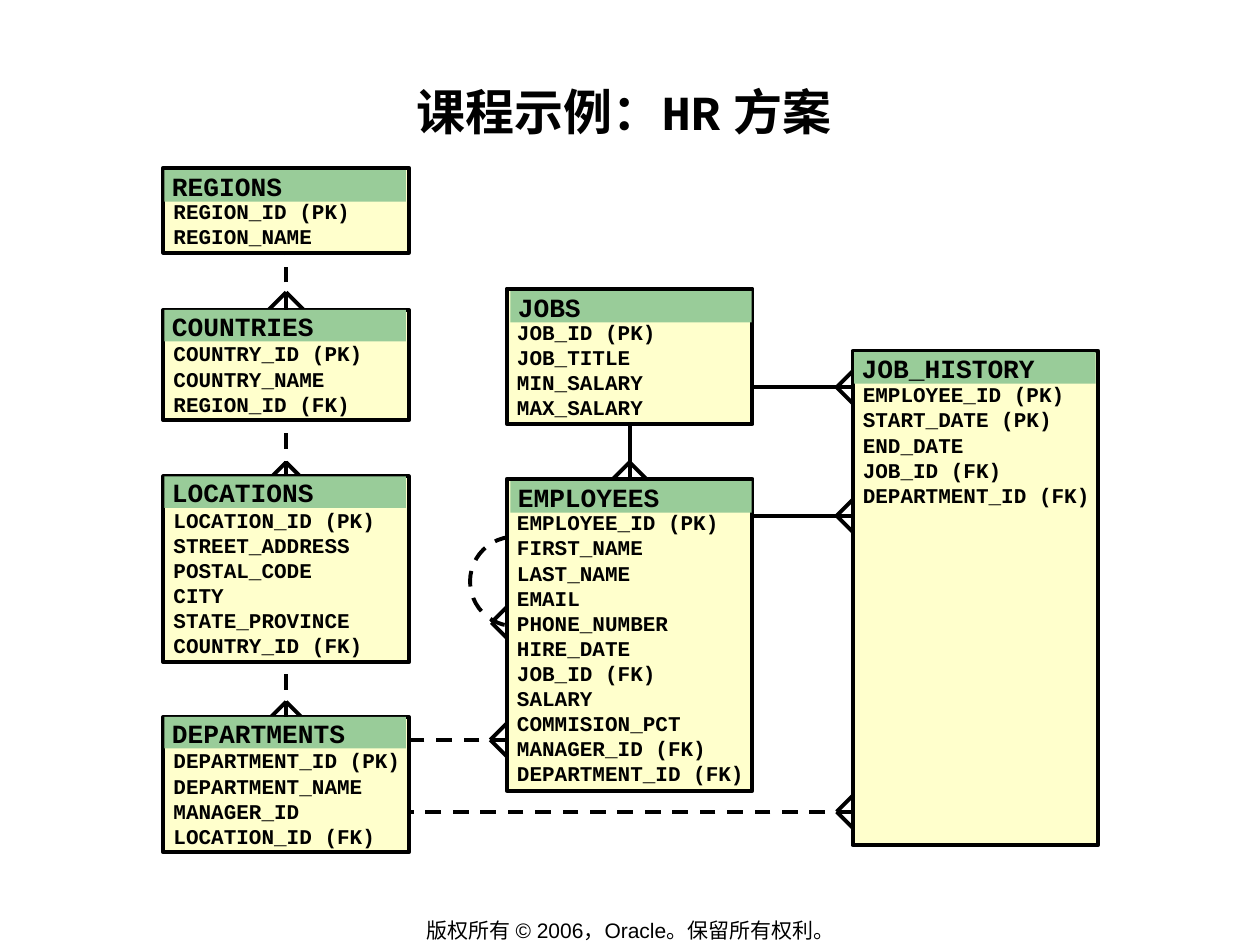
from lxml.etree import SubElement
from pptx import Presentation
from pptx.dml.color import RGBColor
from pptx.enum.dml import MSO_LINE_DASH_STYLE as Dash
from pptx.enum.shapes import MSO_CONNECTOR as Connector, MSO_SHAPE as Shape
from pptx.enum.text import MSO_ANCHOR as Anchor, PP_ALIGN as Align
from pptx.oxml.ns import qn
from pptx.util import Pt

TITLE = [("课程示例：", "Arial"), ("HR", "Courier New"), (" 方案 ", "Arial")]
FOOTER = [("版权所有 © 2006，Oracle。保留所有权利。", "Arial")]

COLUMNS = {"left": 93.3, "middle": 289.6, "right": 487.2}
TABLES = [
    ("REGIONS", "left", 95.8, ["REGION_ID (PK)", "REGION_NAME"]),
    ("COUNTRIES", "left", 177.1, ["COUNTRY_ID (PK)", "COUNTRY_NAME", "REGION_ID (FK)"]),
    ("LOCATIONS", "left", 272.2, ["LOCATION_ID (PK)", "STREET_ADDRESS", "POSTAL_CODE", "CITY",
                                  "STATE_PROVINCE", "COUNTRY_ID (FK)"]),
    ("DEPARTMENTS", "left", 409.7, ["DEPARTMENT_ID (PK)", "DEPARTMENT_NAME", "MANAGER_ID",
                                    "LOCATION_ID (FK)"]),
    ("JOBS", "middle", 164.9, ["JOB_ID (PK)", "JOB_TITLE", "MIN_SALARY", "MAX_SALARY"]),
    ("EMPLOYEES", "middle", 273.6, ["EMPLOYEE_ID (PK)", "FIRST_NAME", "LAST_NAME", "EMAIL",
                                    "PHONE_NUMBER", "HIRE_DATE", "JOB_ID (FK)", "SALARY",
                                    "COMMISION_PCT", "MANAGER_ID (FK)", "DEPARTMENT_ID (FK)"]),
    ("JOB_HISTORY", "right", 200.5, ["EMPLOYEE_ID (PK)", "START_DATE (PK)", "END_DATE",
                                     "JOB_ID (FK)", "DEPARTMENT_ID (FK)"]),
]
TALL_HEIGHTS = {"JOB_HISTORY": 282.4}
BAR_SHIFTS = {"REGIONS": (0.7, 1.4), "JOBS": (2, 1.4), "EMPLOYEES": (2, 1.4),
              "JOB_HISTORY": (0.9, 0.7)}
BOX_WIDTH, BAR_WIDTH, BAR_HEIGHT = 140.4, 138, 18
HEAD_SPACE, ROW_PITCH, TEXT_PITCH, FOOT = 19.8, 14.4, 14.35, 10

VERTICAL_LINKS = [("COUNTRIES", "REGIONS", True), ("LOCATIONS", "COUNTRIES", True),
                  ("DEPARTMENTS", "LOCATIONS", True), ("EMPLOYEES", "JOBS", False)]
SIDE_LINKS = [("right", "middle", 221.3, False), ("right", "middle", 294.7, False),
              ("middle", "left", 422.8, True), ("right", "left", 463.9, True)]
DOWN_FEET = [(163.5, 167), (163.5, 264.2), (163.5, 401), (359.8, 264.2)]
RIGHT_FEET = [(478.1, 221.3), (478.1, 294.7), (280.1, 422.8), (478.1, 463.9), (280.8, 355.7)]
LOOP = (268.6, 306.7, 51.1, 51.1)
LOOP_ROTATION = 247.9

THEME = {
    "ink": RGBColor(0, 0, 0), "body": RGBColor(0xFF, 0xFF, 0xCC),
    "bar": RGBColor(0x99, 0xCC, 0x99), "mono": "Courier New",
    "title": 28, "heading": 15, "field": 12, "footer": 12, "line": 2.25,
}


def points(*values):
    """Turn numbers into point lengths."""
    return [Pt(value) for value in values]


def style_line(line, dashed=False):
    """Give a line its colour, width and dash."""
    line.color.rgb = THEME["ink"]
    line.width = Pt(THEME["line"])
    if dashed:
        line.dash_style = Dash.DASH


def add_line(page, start, end, dashed=False):
    """Draw a straight connector without shadow."""
    link = page.shapes.add_connector(Connector.STRAIGHT, *points(*start, *end))
    style_line(link.line, dashed)
    SubElement(link._element.spPr, qn("a:effectLst"))
    return link


def add_shape(page, kind, place, fill=None, outlined=True, dashed=False):
    """Draw a preset shape with plain styling."""
    shape = page.shapes.add_shape(kind, *points(*place))
    shape.shadow.inherit = False
    if fill is None:
        shape.fill.background()
    else:
        shape.fill.solid()
        shape.fill.fore_color.rgb = fill
    if outlined:
        style_line(shape.line, dashed)
    else:
        shape.line.fill.background()
    return shape


def write(box, rows, size, insets, bold=True, align=Align.LEFT, anchor=Anchor.TOP,
          wrap=True, pitch=None):
    """Fill a box with rows of (text, font) runs."""
    frame = box.text_frame
    frame.word_wrap = wrap
    frame.vertical_anchor = anchor
    frame.margin_left, frame.margin_top, frame.margin_right, frame.margin_bottom = points(*insets)
    for index, row in enumerate(rows):
        para = frame.add_paragraph() if index else frame.paragraphs[0]
        para.alignment = align
        if pitch:
            para.line_spacing = Pt(pitch)
        for text, font in row:
            span = para.add_run()
            span.text = text
            span.font.name = font
            span.font.size = Pt(size)
            span.font.bold = bold
            span.font.color.rgb = THEME["ink"]


def add_table_box(page, name, column, top, fields):
    """Draw one database table and return its body."""
    left = COLUMNS[column]
    height = TALL_HEIGHTS.get(name, HEAD_SPACE + ROW_PITCH * len(fields))
    body = add_shape(page, Shape.RECTANGLE, (left, top, BOX_WIDTH, height), THEME["body"])
    write(body, [[(field, THEME["mono"])] for field in fields], THEME["field"],
          (5.8, 17.8, 0.7, 0), pitch=TEXT_PITCH)
    shift_x, shift_y = BAR_SHIFTS.get(name, (0.7, 0))
    bar = add_shape(page, Shape.RECTANGLE, (left + shift_x, top + shift_y, BAR_WIDTH, BAR_HEIGHT),
                    THEME["bar"], outlined=False)
    write(bar, [[(name, THEME["mono"])]], THEME["heading"], (4.3, 0, 0, 0))
    return body


def main():
    """Build and save the schema slide."""
    deck = Presentation()
    deck.slide_width, deck.slide_height = points(720, 540)
    page = deck.slides.add_slide(deck.slide_layouts[6])

    footer = page.shapes.add_textbox(*points(198.7, 524.2, 323.3, 15.1))
    write(footer, [FOOTER], THEME["footer"], (7.2, 3.6, 7.2, 3.6), bold=False,
          align=Align.CENTER, anchor=Anchor.MIDDLE, wrap=False)
    title = page.shapes.add_textbox(*points(72, 41.8, 576, 69.1))
    write(title, [TITLE], THEME["title"], (0.7, 4.7, 0.7, 0.7), align=Align.CENTER)

    loop = add_shape(page, Shape.OVAL, LOOP, dashed=True)
    loop.rotation = LOOP_ROTATION
    for child, parent, y, dashed in SIDE_LINKS:
        add_line(page, (COLUMNS[child], y), (COLUMNS[parent] + BOX_WIDTH, y), dashed)
    for x, y in DOWN_FEET:
        for side in (-FOOT, FOOT):
            add_line(page, (x + side, y + FOOT), (x, y))
    for x, y in RIGHT_FEET:
        for side in (-FOOT, FOOT):
            add_line(page, (x + FOOT, y + side), (x, y))

    bodies = {table[0]: add_table_box(page, *table) for table in TABLES}
    for child, parent, dashed in VERTICAL_LINKS:
        link = add_line(page, (0, 0), (0, 0), dashed)
        link.begin_connect(bodies[child], 0)
        link.end_connect(bodies[parent], 2)

    deck.save("out.pptx")


if __name__ == "__main__":
    main()
